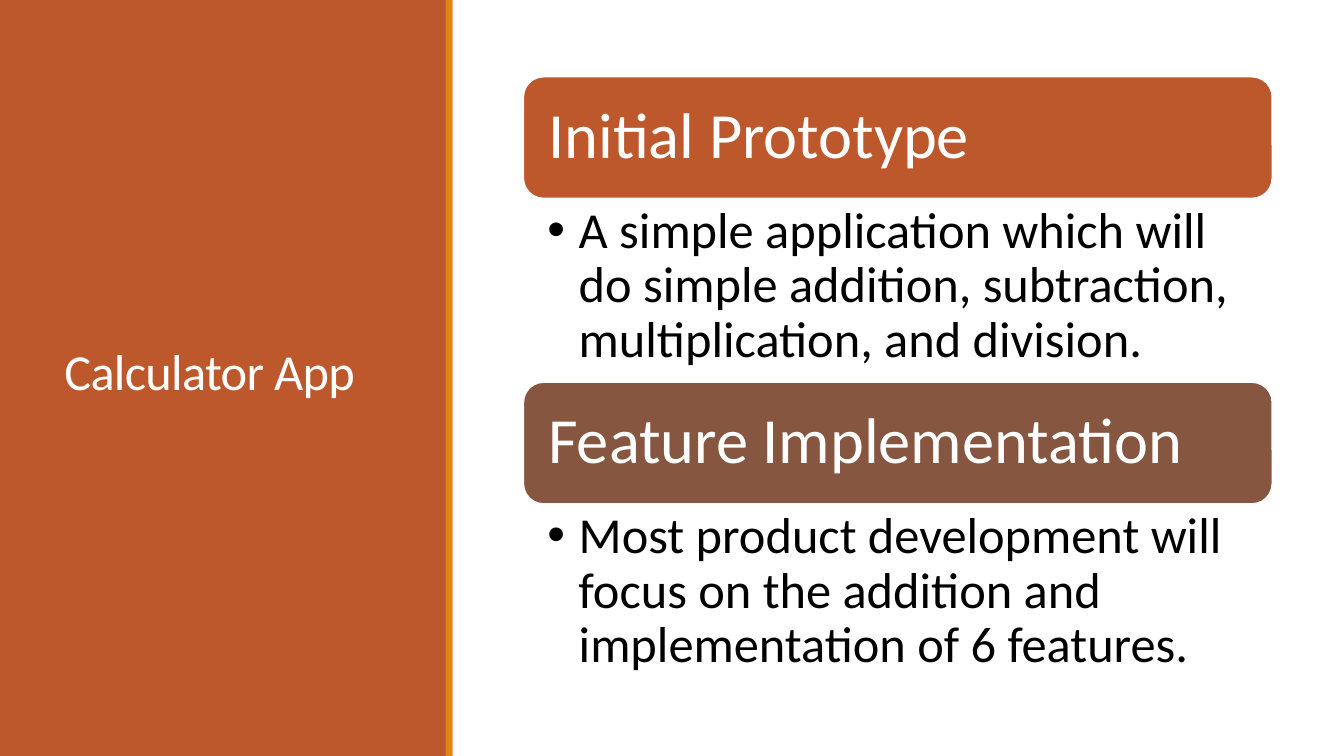
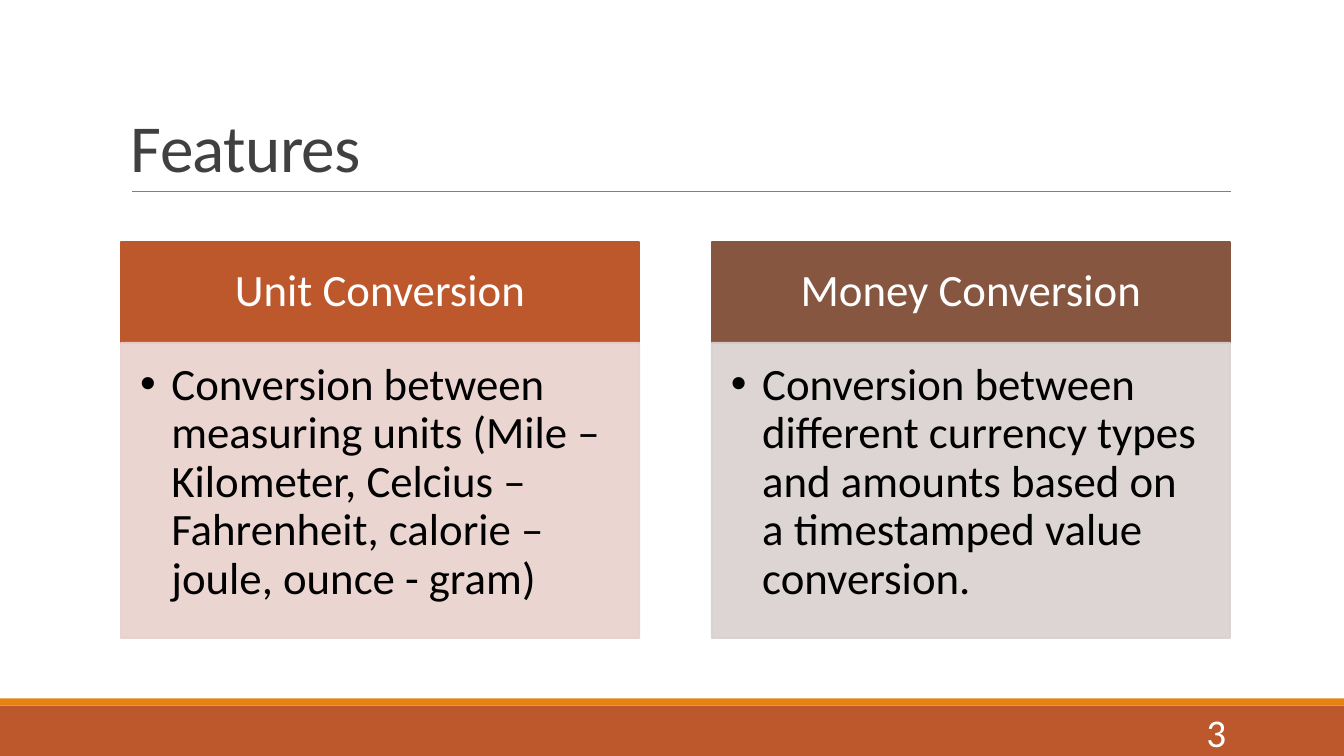
"""Build two slides about a calculator app and its features."""
from lxml.etree import SubElement
from pptx import Presentation
from pptx.dml.color import RGBColor
from pptx.enum.shapes import MSO_CONNECTOR, MSO_SHAPE
from pptx.enum.text import MSO_ANCHOR, PP_ALIGN
from pptx.oxml.ns import qn
from pptx.util import Inches, Pt

FONT = "Calibri"
RUST = RGBColor(0xBD, 0x58, 0x2C)
BROWN = RGBColor(0x86, 0x56, 0x40)
AMBER = RGBColor(0xE4, 0x83, 0x12)
PINK = RGBColor(0xE8, 0xD1, 0xCD)
STONE = RGBColor(0xD9, 0xD1, 0xCF)
GRAY = RGBColor(0x80, 0x80, 0x80)
DARK = RGBColor(0x40, 0x40, 0x40)
WHITE = RGBColor(0xFF, 0xFF, 0xFF)
BLACK = RGBColor(0, 0, 0)

WIDE, HIGH = 13.33, 7.5
PLAIN = (0.1, 0.05, 0.1, 0.05)

APP = "Calculator App"
STAGES = [
    ("Initial Prototype", RUST,
     "A simple application which will do simple addition, subtraction, "
     "multiplication, and division."),
    ("Feature Implementation", BROWN,
     "Most product development will focus on the addition and "
     "implementation of 6 features."),
]
TITLE = "Features"
CARDS = [
    ("Unit Conversion", RUST, PINK,
     "Conversion between measuring units (Mile – Kilometer, Celcius – "
     "Fahrenheit, calorie – joule, ounce - gram)"),
    ("Money Conversion", BROWN, STONE,
     "Conversion between different currency types and amounts based on a "
     "timestamped value conversion."),
]
NUMBER = "3"


def box(slide, area, fill, line=None, kind=MSO_SHAPE.RECTANGLE, alpha=None):
    shape = slide.shapes.add_shape(kind, *map(Inches, area))
    shape.shadow.inherit = False
    shape.fill.solid()
    shape.fill.fore_color.rgb = fill
    if line is None:
        shape.line.fill.background()
    else:
        shape.line.color.rgb = line
        shape.line.width = Pt(1.25)
    if alpha:
        for color in shape._element.spPr.iter(qn("a:srgbClr")):
            SubElement(color, qn("a:alpha"), val=str(alpha * 1000))
    return shape


def label(slide, area):
    return slide.shapes.add_textbox(*map(Inches, area))


def write(shape, text, size, color, inset=PLAIN, anchor=MSO_ANCHOR.MIDDLE,
          align=PP_ALIGN.LEFT, space=0.9, bullet=False, tight=False):
    frame = shape.text_frame
    frame.word_wrap = True
    frame.vertical_anchor = anchor
    (frame.margin_left, frame.margin_top,
     frame.margin_right, frame.margin_bottom) = map(Inches, inset)
    para = frame.paragraphs[0]
    para.alignment = align
    para.line_spacing = space
    if bullet:
        props = para._p.get_or_add_pPr()
        props.set("marL", str(Inches(0.31)))
        props.set("indent", str(Inches(-0.31)))
        SubElement(props, qn("a:buFont"), typeface="Arial")
        SubElement(props, qn("a:buChar"), char="•")
    run = para.add_run()
    run.text = text
    run.font.name = FONT
    run.font.size = Pt(size)
    run.font.color.rgb = color
    if tight:
        run._r.get_or_add_rPr().set("spc", "-50")


def title(slide, text, area, size, color, anchor):
    write(label(slide, area), text, size, color, anchor=anchor,
          space=0.85, tight=True)


def body(shape, text, size, inset):
    write(shape, text, size, BLACK, inset, MSO_ANCHOR.TOP, bullet=True)


def bands(slide, main, edge):
    box(slide, main, RUST)
    box(slide, edge, AMBER)


def stages(slide):
    bands(slide, (0, 0, 4.43, HIGH), (4.42, 0, 0.07, HIGH))
    title(slide, APP, (0.54, 0.57, 3.37, 6.31), 36, WHITE, MSO_ANCHOR.MIDDLE)
    left, top, width, head, text = 5.19, 0.76, 7.43, 1.21, 1.82
    for row, (name, color, note) in enumerate(STAGES):
        y = top + row * (head + text)
        bar = box(slide, (left, y, width, head), color, WHITE,
                  MSO_SHAPE.ROUNDED_RECTANGLE)
        write(bar, name, 46, WHITE, (0.19,) * 4)
        body(label(slide, (left, y + head, width, text)), note, 36,
             (0.24, 0.06, 0.36, 0.06))


def features(slide):
    bands(slide, (0, 7, WIDE, 0.5), (0, 6.93, WIDE, 0.07))
    rule = slide.shapes.add_connector(
        MSO_CONNECTOR.STRAIGHT, *map(Inches, (1.31, 1.9, 12.21, 1.9)))
    rule.line.color.rgb = GRAY
    rule.line.width = Pt(0.5)
    SubElement(rule._element.spPr, qn("a:effectLst"))
    title(slide, TITLE, (1.2, 0.31, 11, 1.59), 48, DARK, MSO_ANCHOR.BOTTOM)
    left, top, width, head, text, gap = 1.2, 2.4, 5.14, 1, 2.93, 0.72
    for col, (name, color, tint, note) in enumerate(CARDS):
        x = left + col * (width + gap)
        bar = box(slide, (x, top, width, head), color, color)
        write(bar, name, 32, WHITE, (0.25, 0.14, 0.25, 0.14),
              align=PP_ALIGN.CENTER)
        card = box(slide, (x, top + head, width, text), tint, tint, alpha=90)
        body(card, note, 32, (0.19, 0.19, 0.25, 0.28))
    write(label(slide, (10.83, 7.06, 1.43, 0.4)), NUMBER, 28, WHITE,
          align=PP_ALIGN.RIGHT, space=1)


deck = Presentation()
deck.slide_width, deck.slide_height = Inches(WIDE), Inches(HIGH)
for draw in (stages, features):
    draw(deck.slides.add_slide(deck.slide_layouts[6]))
deck.save("out.pptx")
